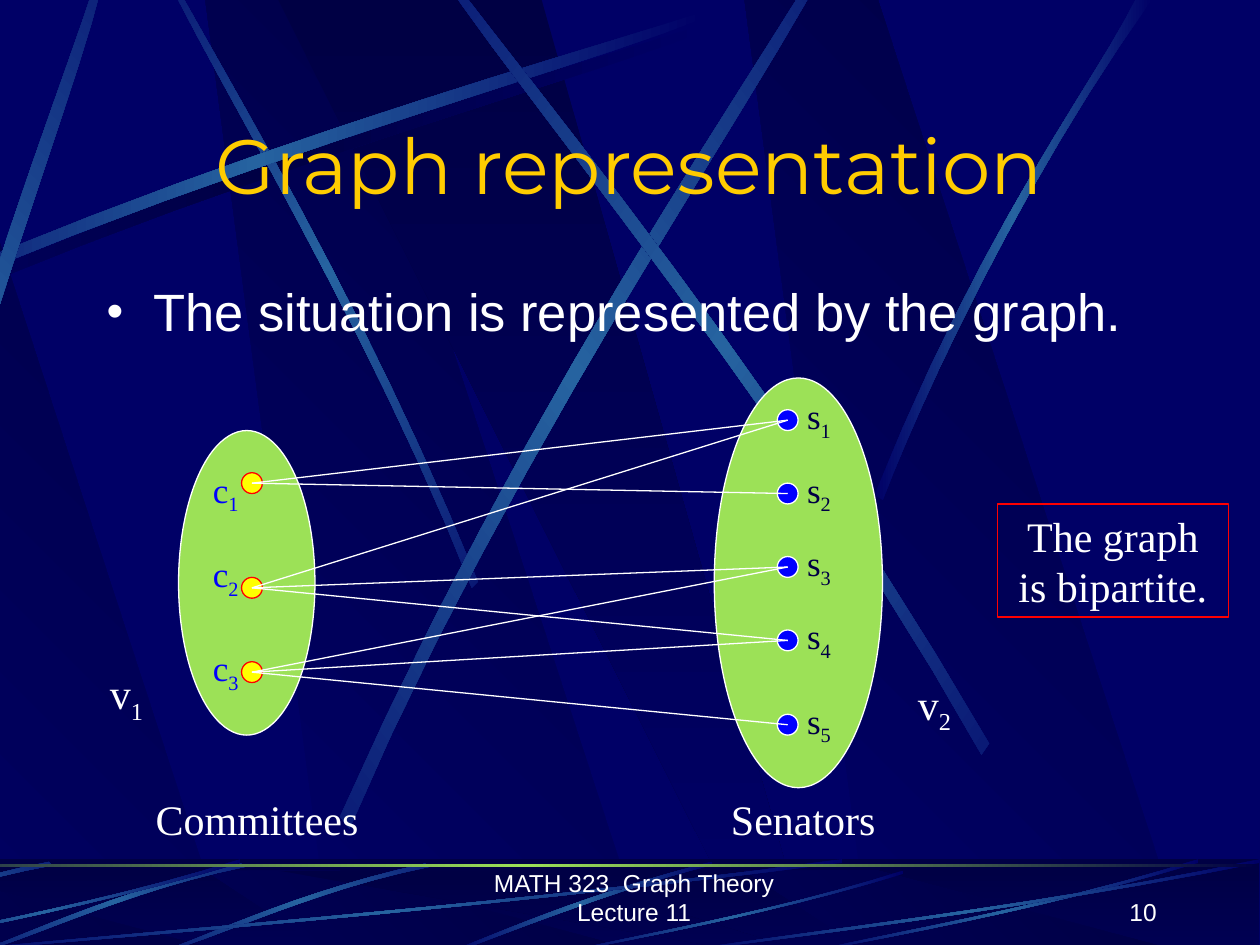
from pptx import Presentation
from pptx.dml.color import RGBColor
from pptx.enum.shapes import MSO_CONNECTOR, MSO_SHAPE
from pptx.enum.text import MSO_ANCHOR, PP_ALIGN
from pptx.oxml import parse_xml
from pptx.oxml.ns import nsdecls
from pptx.util import Cm, Pt
from lxml.etree import SubElement

HUE = {"navy": "000066", "night": "000044", "beam": "2663A0", "lime": "9CE157",
       "gold": "FFCC00", "white": "FFFFFF", "red": "FF0000", "blue": "0000FF",
       "yellow": "FFFF00"}
SERIF = "Times New Roman"
SANS = "Arial"
FADE = ("navy", "night")
RISE = ("night", "navy")
GLOW = ("navy", "beam", "navy")
DUSK = ("navy", "night", "navy")

ARC = [(0, .96), (.43, .43), (.83, .15), (1, 0), (1, .02), (.84, .19), (.39, .5), (0, 1)]
RAY = [(0, .99), (.4, .44), (.79, .17), (.94, 0), (1, 0), (.52, .37), (.16, .81), (.03, 1)]
CREST = [(1, 0), (.49, .38), (.16, .82), (0, .99), (.02, 1), (.23, .77), (.69, .25), (1, .04)]
FLOOR = [(1, .04), (.57, .57), (.17, .85), (0, 1), (0, .99), (.17, .81), (.62, .51), (1, 0)]


def rgb(name):
    """Return the colour of a name."""
    return RGBColor.from_string(HUE[name])


def shade(shape, names, angle=0):
    """Fill a shape with an even linear gradient and no line."""
    last = len(names) - 1
    stops = "".join(f'<a:gs pos="{100000 * i // last}"><a:srgbClr val="{HUE[n]}"/></a:gs>'
                    for i, n in enumerate(names))
    shape.shadow.inherit = False
    shape.line.fill.background()
    shape.fill.background()
    props = shape._element.spPr
    old = props.find(".//{*}noFill")
    props.replace(old, parse_xml(
        f'<a:gradFill {nsdecls("a")} rotWithShape="1"><a:gsLst>{stops}</a:gsLst>'
        f'<a:lin ang="{angle * 60000}" scaled="0"/></a:gradFill>'))


def trace(slide, points):
    """Draw a closed outline through points in centimetres."""
    dots = [(Cm(x), Cm(y)) for x, y in points]
    pen = slide.shapes.build_freeform(*dots[0], scale=1.0)
    pen.add_line_segments(dots[1:], close=True)
    return pen.convert_to_shape()


def curve(ends, steps=12):
    """Return points along a cubic curve."""
    out = []
    for i in range(steps + 1):
        t = i / steps
        u = 1 - t
        parts = (u ** 3, 3 * u * u * t, 3 * u * t * t, t ** 3)
        out.append(tuple(sum(k * p[a] for k, p in zip(parts, ends)) for a in (0, 1)))
    return out


def beam(slide, box, form, turn=0, flip=False, names=GLOW):
    """Draw a curved beam of light in a box."""
    x, y, w, h = box
    path = curve(form[:4]) + curve(form[4:])
    shape = trace(slide, [(x + w * (1 - a if flip else a), y + h * b) for a, b in path])
    shape.rotation = turn
    shade(shape, names)


def shards(slide, y, h):
    """Draw the dark slanted bands over a height."""
    for x in (4.14, -4.29, 15.01):
        band = [(x + 2.54, y + h), (x + 8.94, y + h), (x + 2.69, y), (x, y)]
        shade(trace(slide, band), FADE, 315)
    wedge = [(5.61, y), (15.24, y + h), (16.33, y + h), (10.92, y)]
    shade(trace(slide, wedge), RISE, 90)


def solid(slide, kind, box, fill, line=None):
    """Add a preset shape with a plain fill and line."""
    shape = slide.shapes.add_shape(kind, *map(Cm, box))
    shape.shadow.inherit = False
    if fill:
        shape.fill.solid()
        shape.fill.fore_color.rgb = rgb(fill)
    else:
        shape.fill.background()
    if line:
        shape.line.color.rgb = rgb(line)
        shape.line.width = Pt(.75)
    else:
        shape.line.fill.background()
    return shape


def style(shape, text, size, hue="white", face=SERIF, align=PP_ALIGN.CENTER,
          anchor=MSO_ANCHOR.TOP, sub=""):
    """Write text in a shape, with an optional subscript."""
    frame = shape.text_frame
    frame.word_wrap = True
    frame.vertical_anchor = anchor
    frame.text = text
    para = frame.paragraphs[0]
    para.alignment = align
    if sub:
        low = para.add_run()
        low.text = sub
        low._r.get_or_add_rPr().set("baseline", "-25000")
    for run in para.runs:
        run.font.size = Pt(size)
        run.font.name = face
        run.font.color.rgb = rgb(hue)
    return para


def label(slide, box, text, size, *rest, **more):
    """Add a text box and style its text."""
    return style(slide.shapes.add_textbox(*map(Cm, box)), text, size, *rest, **more)


def sky(slide):
    """Draw the bands and beams behind the content."""
    shards(slide, 0, 19.18)
    beam(slide, (-3.68, .43, 18.06, 6.81), ARC, names=DUSK)
    for box, turn, flip in (((-.1, 3.4, 13.11, 4.47), 45, True),
                            ((-3.86, .23, 18.06, 6.81), 0, False),
                            ((-8.08, 4.06, 15.52, 7.9), 312, False),
                            ((2.57, 4.06, 18.52, 7.67), 321, False),
                            ((5.31, 3.84, 18.06, 6.81), 35, True)):
        beam(slide, box, ARC, turn, flip)
    beam(slide, (17.63, -.03, 5.61, 10.11), RAY)


def footer(slide, x, y, w, h):
    """Draw the floor strip with its beams and footer text."""
    bar = (x, y, w, h)
    shade(solid(slide, MSO_SHAPE.RECTANGLE, bar, "night"), RISE, 90)
    shards(slide, y + .23, h - .23)
    veil = solid(slide, MSO_SHAPE.RECTANGLE, bar, "night")
    tint = veil._element.spPr.find(".//{*}srgbClr")
    SubElement(tint, tint.tag.replace("srgbClr", "alpha"), val="50000")
    beam(slide, (9.02, y + .05, 5.33, 1.85), CREST)
    for left, top, wide, high in ((3.76, -.28, 4.7, 2.46), (.05, -.28, 4.7, 2.46),
                                  (-3.73, -.4, 4.57, 2.51)):
        beam(slide, (left, y + top, wide, high), ARC, 315, True)
    for left, top, wide in ((-1.32, 0, 18.29), (-3.05, 0, 7.9), (11.35, .23, 6.86),
                            (16.26, 0, 7.9), (13.54, 0, 11.86)):
        beam(slide, (left, y + top, wide, h - top), FLOOR)
    rule = solid(slide, MSO_SHAPE.RECTANGLE, (x, y + .1, w, .05), "lime")
    shade(rule, ("night", "lime", "night"))
    label(slide, (8.76, y + .21, 8.05, 1.27), "MATH 323  Graph Theory\vLecture 11", 14,
          face=SANS, anchor=MSO_ANCHOR.BOTTOM)
    label(slide, (18.29, y + .21, 5.28, 1.27), "10", 14, face=SANS,
          align=PP_ALIGN.RIGHT, anchor=MSO_ANCHOR.BOTTOM)


def head(slide, x, y, w):
    """Write the title and the bulleted sentence."""
    label(slide, (x, y, w, 2.11), "Graph representation", 44, "gold", "Montserrat",
          anchor=MSO_ANCHOR.MIDDLE)
    para = label(slide, (x, y + 3.27, w, 1.7),
                 "The situation is represented by the graph.", 30, face=SANS,
                 align=PP_ALIGN.LEFT)
    props = para._p.get_or_add_pPr()
    props.set("marL", str(Cm(.94)))
    props.set("indent", str(-Cm(.94)))
    for item in (f'buClr {nsdecls("a")}><a:srgbClr val="{HUE["white"]}"/></a:buClr>',
                 f'buSzPct {nsdecls("a")} val="91000"/>',
                 f'buFont {nsdecls("a")} typeface="Arial"/>',
                 f'buChar {nsdecls("a")} char="•"/>'):
        props.append(parse_xml("<a:" + item))


def nodes(slide, spots, fill, line):
    """Draw a dot at each centre."""
    for x, y in spots:
        solid(slide, MSO_SHAPE.OVAL, (x - .21, y - .21, .42, .42), fill, line)


def graph(slide, x, y):
    """Draw the bipartite graph with its labels and note."""
    left = [(x + 3.38, y + d) for d in (2.12, 4.23, 5.93)]
    right = [(x + 14.18, y + d) for d in (.85, 2.33, 3.81, 5.29, 6.99)]
    solid(slide, MSO_SHAPE.OVAL, (x + 1.9, y + 1.06, 2.75, 6.14), "lime", "white")
    solid(slide, MSO_SHAPE.OVAL, (x + 12.7, y, 3.39, 8.26), "lime", "white")
    nodes(slide, left, "yellow", "red")
    nodes(slide, right, "blue", "white")
    for sub, dx, dy in (("1", 0, 5.72), ("2", 16.29, 5.93)):
        label(slide, (x + dx, y + dy, 1.7, 1.42), "v", 24, sub=sub)
    for i, dy in enumerate((1.69, 3.39, 5.29), 1):
        label(slide, (x + 2.11, y + dy, 1.48, 1.22), "c", 20, "blue", sub=str(i))
    for i, (a, b) in enumerate(right, 1):
        label(slide, (a - .22, b - .64, 1.7, 1.22), "s", 20, "night", sub=str(i))
    for text, dx in (("Committees", .84), ("Senators", 11.85)):
        label(slide, (x + dx, y + 8.26, 5.29, 1.27), text, 24)
    note = solid(slide, MSO_SHAPE.RECTANGLE, (x + 18.41, y + 2.54, 4.65, 2.28), None, "red")
    style(note, "The graph is bipartite.", 24)
    for start, ends in zip(left, ((1, 2), (1, 3, 4), (3, 4, 5))):
        for end in ends:
            edge = slide.shapes.add_connector(MSO_CONNECTOR.STRAIGHT,
                                              *map(Cm, start + right[end - 1]))
            edge.line.color.rgb = rgb("white")
            edge.line.width = Pt(.75)
            edge._element.spPr.append(parse_xml(f'<a:effectLst {nsdecls("a")}/>'))


def main():
    """Build and save the slide."""
    deck = Presentation()
    deck.slide_width, deck.slide_height = Cm(25.4), Cm(19.05)
    slide = deck.slides.add_slide(deck.slide_layouts[6])
    slide.background.fill.solid()
    slide.background.fill.fore_color.rgb = rgb("navy")
    sky(slide)
    footer(slide, -4.29, 17.32, 29.67, 1.9)
    head(slide, 1.9, 2.24, 21.59)
    graph(slide, 1.7, 7.62)
    deck.save("out.pptx")


if __name__ == "__main__":
    main()
